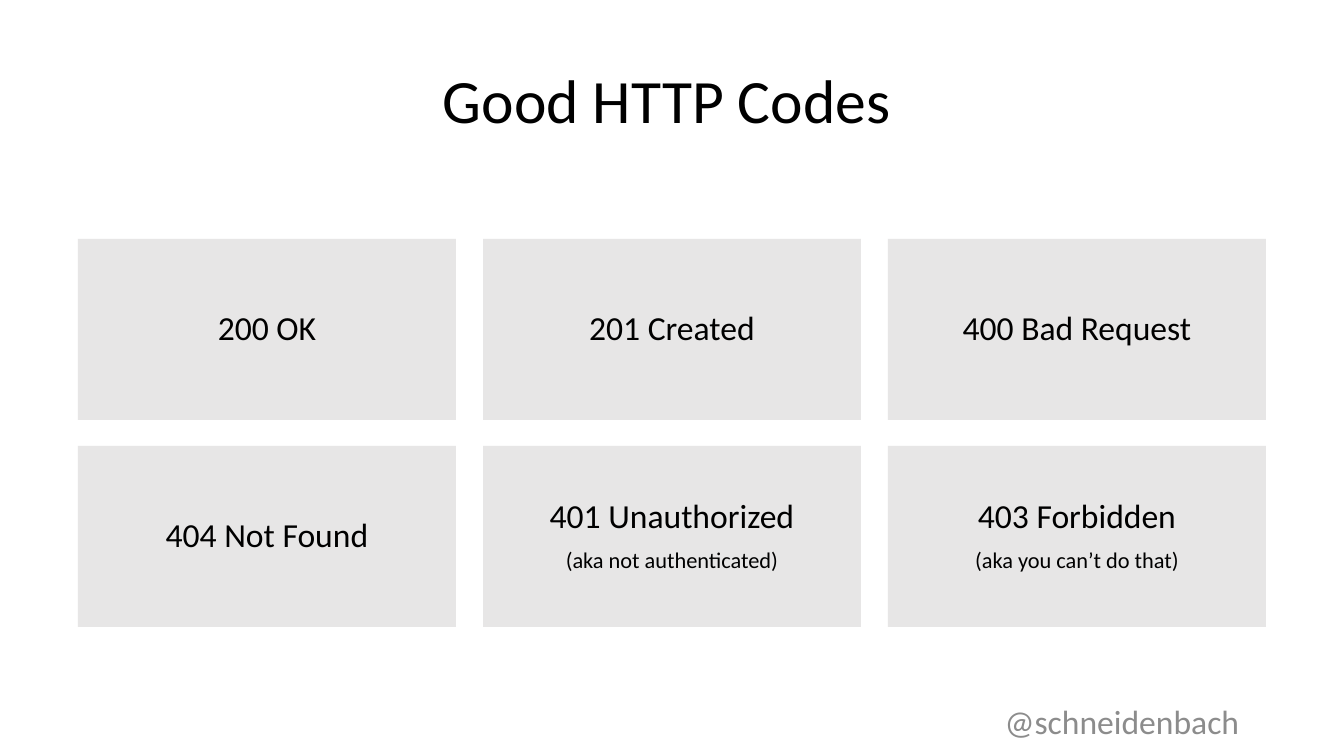
from pptx import Presentation
from pptx.dml.color import RGBColor
from pptx.enum.shapes import MSO_SHAPE
from pptx.enum.text import MSO_ANCHOR, PP_ALIGN
from pptx.util import Pt

PX = 914400 / 100.8
RECTANGLE = MSO_SHAPE.RECTANGLE
TOP, MIDDLE = MSO_ANCHOR.TOP, MSO_ANCHOR.MIDDLE
CENTER = PP_ALIGN.CENTER


def px(*lengths):
    return [round(length * PX) for length in lengths]


def write(box, lines, color="000000", anchor=MIDDLE, insets=(10, 5, 10, 5),
          spacing=0.9, before=0):
    """Fill a box with centred lines, each given as (text, size)."""
    frame = box.text_frame
    frame.word_wrap = True
    frame.vertical_anchor = anchor
    (frame.margin_left, frame.margin_top,
     frame.margin_right, frame.margin_bottom) = px(*insets)
    for index, (text, size) in enumerate(lines):
        para = frame.add_paragraph() if index else frame.paragraphs[0]
        para.alignment = CENTER
        para.line_spacing = spacing
        para.space_before = Pt(before)
        span = para.add_run()
        span.text = text
        span.font.name = "Calibri"
        span.font.size = Pt(size)
        span.font.color.rgb = RGBColor.from_string(color)


deck = Presentation()
deck.slide_width, deck.slide_height = px(1344, 756)
page = deck.slides.add_slide(deck.slide_layouts[5])

# Title
title = page.shapes.title
title.left, title.top, title.width, title.height = px(78, 65, 1188, 48)
write(title, [("Good HTTP Codes", 44)], anchor=TOP, insets=(0, 5, 10, 5))

# Grid of status codes, three to a row
codes = [
    ("200 OK", None),
    ("201 Created", None),
    ("400 Bad Request", None),
    ("404 Not Found", None),
    ("401 Unauthorized", "(aka not authenticated)"),
    ("403 Forbidden", "(aka you can’t do that)"),
]
for index, (code, remark) in enumerate(codes):
    row, column = divmod(index, 3)
    card = page.shapes.add_shape(
        RECTANGLE, *px(78 + 405 * column, 239 + 207 * row, 378, 181))
    card.shadow.inherit = False
    card.fill.solid()
    card.fill.fore_color.rgb = RGBColor.from_string("E7E6E6")
    card.line.fill.background()
    lines = [(code, 24)] + ([(remark, 16)] if remark else [])
    write(card, lines, insets=(30, 30, 30, 30), before=10)

# Speaker handle
handle = page.shapes.add_textbox(*px(895, 701, 454, 40))
write(handle, [("@schneidenbach", 24)], color="8C8C8C", spacing=1.0)

deck.save("out.pptx")
